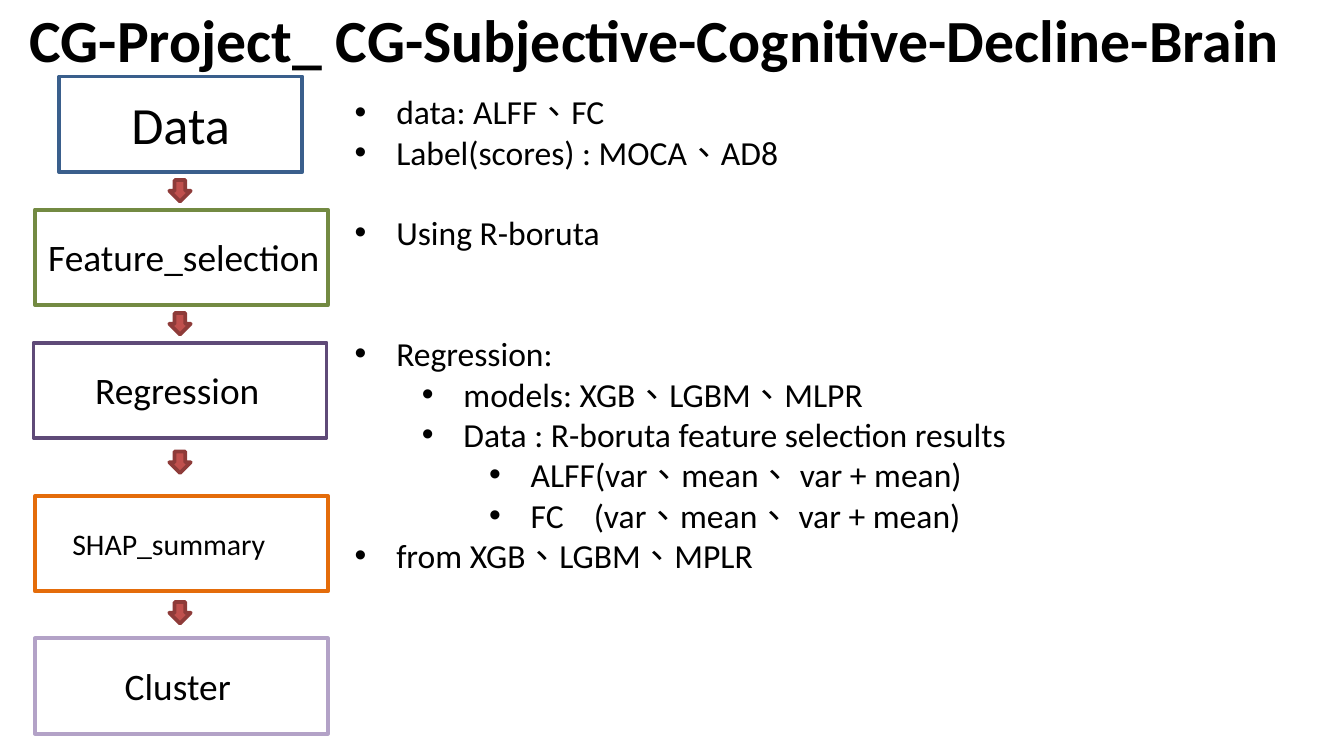
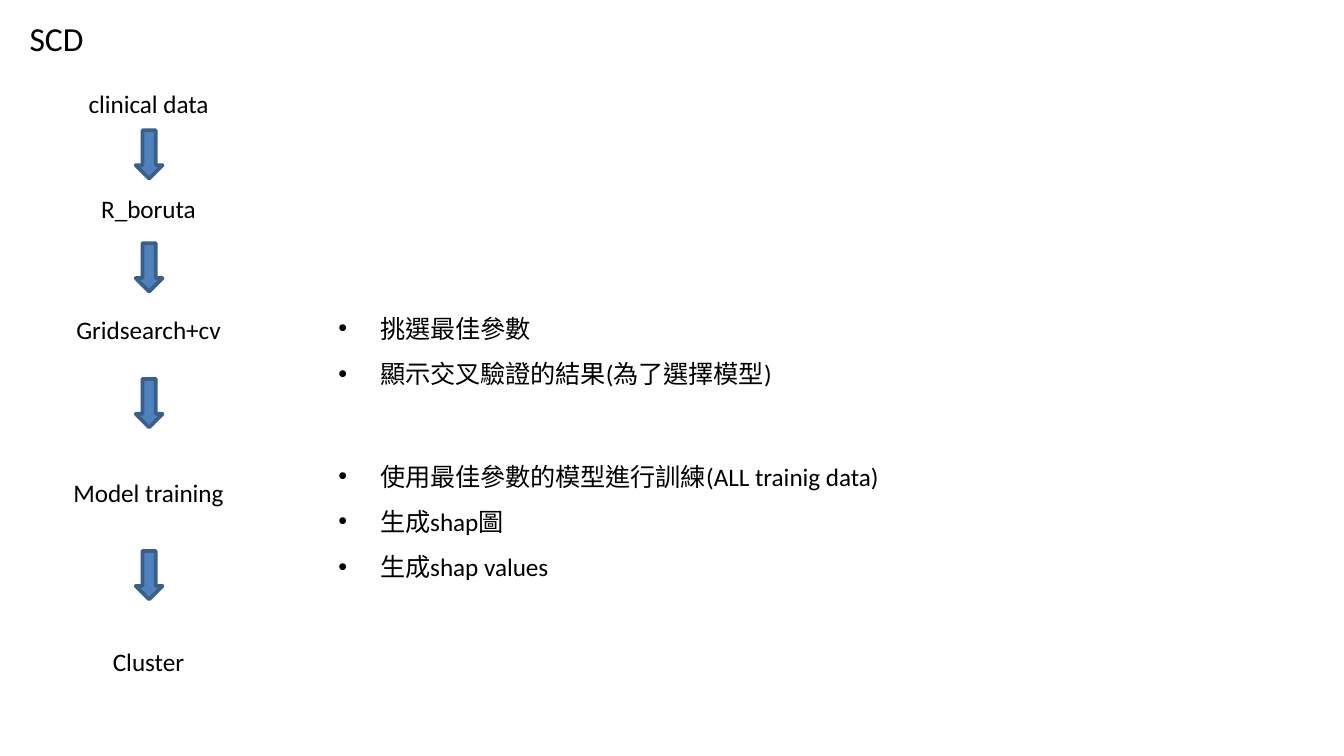
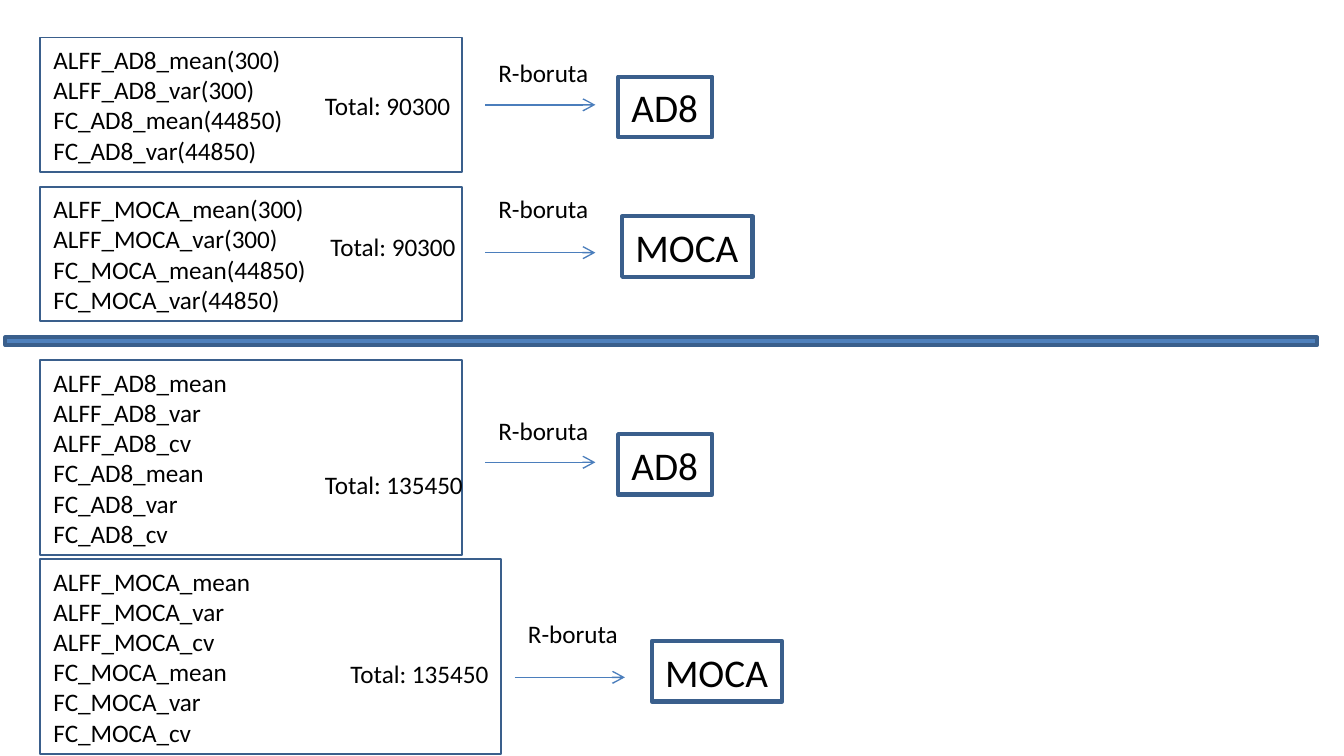
import pptx
import pptx.util
import pptx.dml.color
import pptx.enum.shapes
import pptx.enum.text
import pptx.oxml.ns
import lxml.etree

Inches = pptx.util.Inches
Pt = pptx.util.Pt
KIND = pptx.enum.shapes.MSO_SHAPE
ALIGN = pptx.enum.text.PP_ALIGN
ANCHOR = pptx.enum.text.MSO_ANCHOR

HUES = {
    "ink": "000000", "blue": "4F81BD", "navy": "3A5F8C", "link": "4B7EBC",
    "green": "738A42", "plum": "5F4A78", "lilac": "B3A2C7",
    "orange": "E46C0A", "red": "C0504D", "brick": "8E3B39",
}
FONT = "Calibri"
HAN = "Noto Sans CJK SC"
SMALL = 13.5
INDENT = 0.31


def hue(name):
    return pptx.dml.color.RGBColor.from_string(HUES[name])


def sub(node, tag, **attrs):
    return lxml.etree.SubElement(node, pptx.oxml.ns.qn(tag), **attrs)


def style(frame, size, align=ALIGN.LEFT, bold=False):
    for para in frame.paragraphs:
        para.alignment = align
        for run in para.runs:
            run.font.name = FONT
            run.font.size = Pt(size)
            run.font.bold = bold
            run.font.color.rgb = hue("ink")


def add_text(slide, text, left, top, width, height, size=SMALL,
             align=ALIGN.LEFT, wrap=True):
    box = slide.shapes.add_textbox(
        Inches(left), Inches(top), Inches(width), Inches(height))
    frame = box.text_frame
    frame.word_wrap = wrap
    frame.text = text
    style(frame, size, align)
    return frame


def add_box(slide, left, top, width, height, line, weight=2, fill=None,
            kind=KIND.RECTANGLE):
    shape = slide.shapes.add_shape(
        kind, Inches(left), Inches(top), Inches(width), Inches(height))
    shape.shadow.inherit = False
    if fill:
        shape.fill.solid()
        shape.fill.fore_color.rgb = hue(fill)
    else:
        shape.fill.background()
    shape.line.color.rgb = hue(line)
    shape.line.width = Pt(weight)
    return shape


def add_label_box(slide, text, left, top, width, height, weight, size, wrap):
    shape = add_box(slide, left, top, width, height, "navy", weight)
    frame = shape.text_frame
    frame.word_wrap = wrap
    frame.vertical_anchor = ANCHOR.MIDDLE
    frame.text = text
    style(frame, size)


def add_link(slide, left, top, width):
    line = slide.shapes.add_connector(
        pptx.enum.shapes.MSO_CONNECTOR.STRAIGHT,
        Inches(left), Inches(top), Inches(left + width), Inches(top))
    line.line.color.rgb = hue("link")
    line.line.width = Pt(0.75)
    sub(line.line._get_or_add_ln(), "a:tailEnd", type="arrow")
    sub(line._element.spPr, "a:effectLst")


def add_title(deck, text, left, top, width, height, size, bold=False):
    slide = deck.slides.add_slide(deck.slide_layouts[5])
    title = slide.shapes.title
    title.left, title.top = Inches(left), Inches(top)
    title.width, title.height = Inches(width), Inches(height)
    frame = title.text_frame
    frame.word_wrap = True
    frame.auto_size = pptx.enum.text.MSO_AUTO_SIZE.NONE
    frame.vertical_anchor = ANCHOR.TOP
    frame.text = text
    style(frame, size, bold=bold)
    return slide


def add_list(slide, items, left, top, width, height, size, pitch):
    """Items are (level, blank lines before, text); pitch is in points."""
    frame = add_text(slide, "\n".join(item[2] for item in items),
                     left, top, width, height, size)
    for para, (level, gap, text) in zip(frame.paragraphs, items):
        props = para._p.get_or_add_pPr()
        props.set("marL", str(Inches(INDENT + level * 0.5)))
        props.set("indent", str(-Inches(INDENT)))
        sub(props, "a:buFont", typeface="Arial")
        sub(props, "a:buChar", char="•")
        if "\t" in text:
            tabs = sub(props, "a:tabLst")
            sub(tabs, "a:tab", pos=str(Inches(1.78)), algn="l")
        para.level = level
        para.line_spacing = Pt(pitch)
        if gap:
            para.space_before = Pt(gap * pitch)
        for run in para.runs:
            look = run._r.get_or_add_rPr()
            look.set("lang", "zh-TW")
            sub(look, "a:ea", typeface=HAN)


def add_stage(slide, left, top, width, line, text, inset, span, size):
    """Outlined step whose label starts at the given inset."""
    high = 0.71
    add_box(slide, left, top, width, high, line)
    tall = size * 0.017 + 0.1
    add_text(slide, text, left + inset, top + (high - tall) / 2,
             span, tall, size)


def build_project(deck):
    slide = add_title(deck, "CG-Project_ CG-Subjective-Cognitive-Decline-Brain",
                      0.12, -0.03, 9.77, 1.3, 32, True)
    stages = [
        (0.44, 0.57, 1.81, "navy", "Data", 0.44, 0.94, 28),
        (0.26, 1.56, 2.18, "green", "Feature_selection", 0, 2.32, 20),
        (0.25, 2.55, 2.18, "plum", "Regression", 0.36, 1.48, 20),
        (0.26, 3.69, 2.18, "orange", "SHAP_summary", 0.18, 1.8, 16),
        (0.26, 4.75, 2.18, "lilac", "Cluster", 0.57, 1.04, 20),
    ]
    for stage in stages:
        add_stage(slide, *stage)
    for top in (1.34, 2.33, 3.36, 4.48):
        add_box(slide, 1.26, top, 0.16, 0.16, "brick", 2, "red",
                KIND.DOWN_ARROW)
    add_list(slide, [
        (0, 0, "data: ALFF、FC"),
        (0, 0, "Label(scores) : MOCA、AD8"),
        (0, 1, "Using R-boruta"),
        (0, 2, "Regression:"),
        (1, 0, "models: XGB、LGBM、MLPR"),
        (1, 0, "Data : R-boruta feature selection results"),
        (2, 0, "ALFF(var、mean、 var + mean)"),
        (2, 0, "FC\t(var、mean、 var + mean)"),
        (0, 0, "from XGB、LGBM、MPLR"),
    ], 2.54, 0.63, 7.28, 4, 18, 21.6)


def build_flow(deck):
    slide = add_title(deck, "SCD", 0.12, 0.08, 1.44, 0.4, 18)
    steps = [("clinical data", 0.61), ("R_boruta", 1.39),
             ("Gridsearch+cv", 2.29), ("Model training", 3.5),
             ("Cluster", 4.76)]
    for text, top in steps:
        add_text(slide, text, 0.4, top, 1.41, 0.33, align=ALIGN.CENTER)
    for top in (0.97, 1.81, 2.82, 4.1):
        add_box(slide, 1.01, top, 0.2, 0.36, "navy", 2, "blue",
                KIND.DOWN_ARROW)
    add_list(slide, [
        (0, 0, "挑選最佳參數"),
        (0, 0, "顯示交叉驗證的結果(為了選擇模型)"),
    ], 2.42, 2.17, 3.44, 0.78, SMALL, 24.2)
    add_list(slide, [
        (0, 0, "使用最佳參數的模型進行訓練(ALL trainig data)"),
        (0, 0, "生成shap圖"),
        (0, 0, "生成shap values"),
    ], 2.42, 3.27, 4.24, 1.11, SMALL, 24.2)


def add_case(slide, top, width, score, stats, total, spot, link):
    """Feature box, its total at spot, and an arrow to the score."""
    left = 0.3
    names = [f"{kind}_{score}_{stat}" + (f"({count})" if count else "")
             for kind, count in stats[1] for stat in stats[0]]
    add_label_box(slide, "\n".join(names), left, top, width,
                  0.1 + 0.225 * len(names), 1, SMALL, True)
    add_text(slide, f"Total: {total}", left + spot[0], top + spot[1],
             1.13 if total < 100000 else 1.23, 0.33, wrap=False)
    start, level = left + link[0], top + link[1]
    rise, lift, reach, span = {"AD8": (0.4, 0.21, 0.99, 0.7),
                               "MOCA": (0.49, 0.27, 1.02, 0.97)}[score]
    add_text(slide, "R-boruta", start, level - rise, 0.87, 0.33, wrap=False)
    add_link(slide, start, level, 0.82)
    add_label_box(slide, score, start + reach, level - lift, span, 0.45,
                  2.25, 21, False)


def build_cases(deck):
    slide = deck.slides.add_slide(deck.slide_layouts[6])
    pair = (("mean", "var"), (("ALFF", 300), ("FC", 44850)))
    trio = (("mean", "var", "cv"), (("ALFF", None), ("FC", None)))
    cases = [
        (0.28, 3.14, "AD8", pair, 90300, (2.02, 0.34), (3.31, 0.5)),
        (1.39, 3.14, "MOCA", pair, 90300, (2.06, 0.28), (3.31, 0.49)),
        (2.68, 3.14, "AD8", trio, 135450, (2.02, 0.76), (3.31, 0.76)),
        (4.16, 3.43, "MOCA", trio, 135450, (2.21, 0.69), (3.53, 0.88)),
    ]
    for case in cases:
        add_case(slide, *case)
    add_box(slide, 0.04, 2.51, 9.76, 0.06, "navy", 2, "blue")


def main():
    deck = pptx.Presentation()
    deck.slide_width = Inches(10)
    deck.slide_height = deck.slide_width * 9 // 16
    build_project(deck)
    build_flow(deck)
    build_cases(deck)
    deck.save("out.pptx")


if __name__ == "__main__":
    main()
